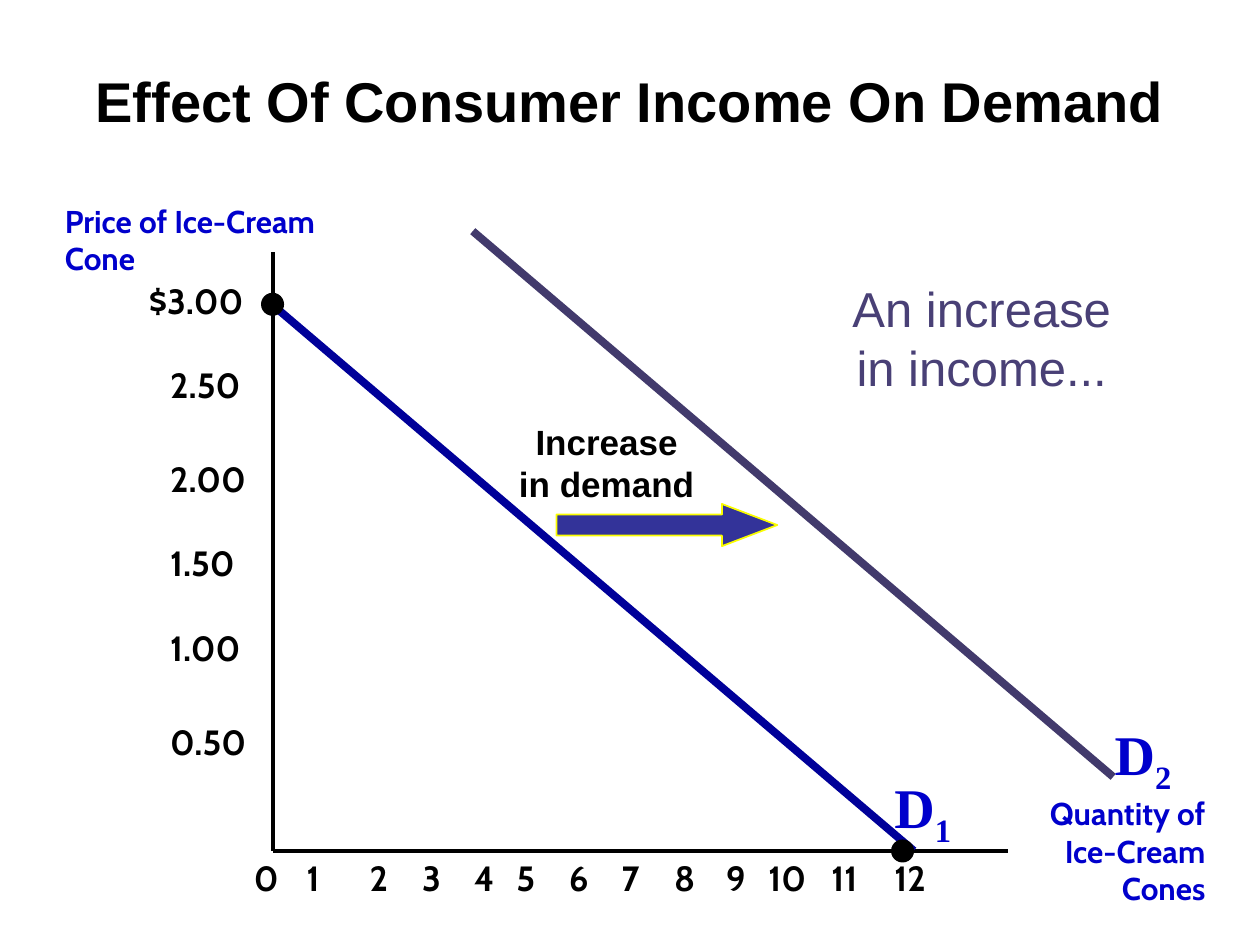
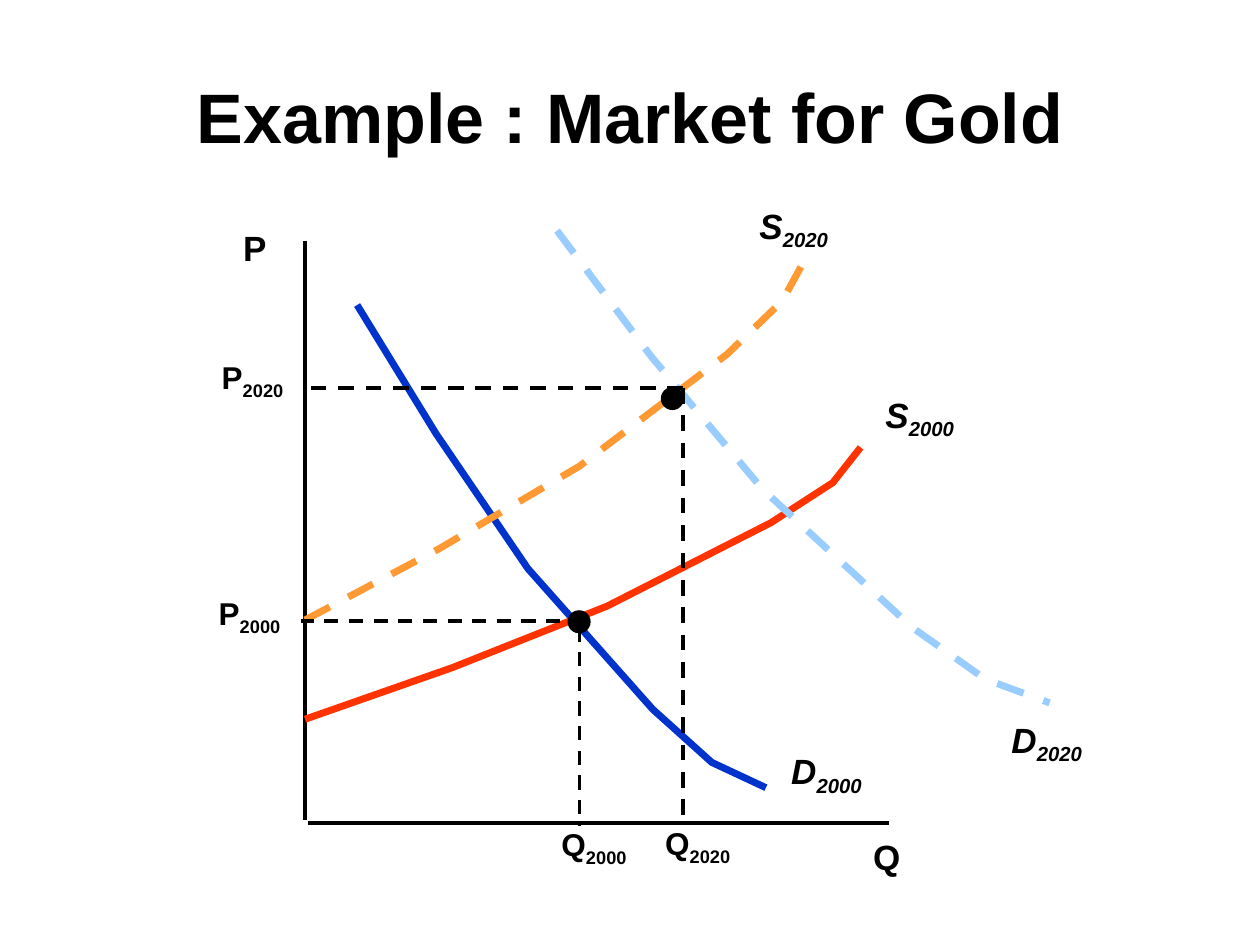
from dataclasses import dataclass

from lxml import etree
from pptx import Presentation
from pptx.dml.color import RGBColor
from pptx.enum import dml, shapes, text
from pptx.oxml import ns
from pptx.util import Cm, Pt

LEFT, CENTER, RIGHT = text.PP_ALIGN.LEFT, text.PP_ALIGN.CENTER, text.PP_ALIGN.RIGHT


@dataclass(frozen=True)
class Theme:
    black: str = "000000"
    white: str = "FFFFFF"
    label_blue: str = "0000CC"
    first_demand: str = "000099"
    shifted_demand: str = "423A6C"
    income: str = "494076"
    arrow: str = "333399"
    arrow_edge: str = "FAFD00"
    demand_2000: str = "0033CC"
    supply_2000: str = "FF3300"
    supply_2020: str = "FF9933"
    demand_2020: str = "99CCFF"
    curve_width: float = 4
    shift_width: float = 4.5
    dot_size: float = 0.43


theme = Theme()

# Font name, size, bold, italic, colour
STYLES = {
    name: dict(name=font, size=Pt(size), bold=bold, italic=italic, color=color)
    for name, font, size, bold, italic, color in [
        ("wide title", "Arial", 32, True, False, theme.black),
        ("title", "Arial", 40, True, False, theme.black),
        ("tick", "Cabin", 20, True, False, theme.black),
        ("axis", "Cabin", 18, True, False, theme.label_blue),
        ("demand", "Times New Roman", 32, True, False, theme.label_blue),
        ("note", "Arial", 20, True, False, theme.black),
        ("income", "Arial", 28, False, False, theme.income),
        ("curve", "Arial", 20, True, True, theme.black),
        ("level", "Arial", 18, True, False, theme.black),
    ]
}


def write(sp, content, style, align=LEFT, wrap=True):
    """Fill a shape with text; whatever follows "_" in a line is subscript."""
    tf = sp.text_frame
    tf.word_wrap = wrap
    for i, row in enumerate(content.split("\n")):
        p = tf.add_paragraph() if i else tf.paragraphs[0]
        p.alignment = align
        for j, part in enumerate(row.split("_")):
            r = p.add_run()
            r.text = part
            for key, value in STYLES[style].items():
                if key == "color":
                    r.font.color.rgb = RGBColor.from_string(value)
                else:
                    setattr(r.font, key, value)
            if j:
                r._r.get_or_add_rPr().set("baseline", "-25000")
    return tf


def draw_line(s, points, color, width, dash=False):
    """Draw a connector through two points, or an open outline through more."""
    pts = [(Cm(x), Cm(y)) for x, y in points]
    if len(pts) == 2:
        sp = s.shapes.add_connector(shapes.MSO_CONNECTOR.STRAIGHT, *pts[0], *pts[1])
        etree.SubElement(sp._element.spPr, ns.qn("a:effectLst"))
    else:
        builder = s.shapes.build_freeform(*pts[0])
        builder.add_line_segments(pts[1:], close=False)
        sp = builder.convert_to_shape()
        sp.fill.background()
        sp.shadow.inherit = False
    sp.line.color.rgb = RGBColor.from_string(color)
    sp.line.width = Pt(width)
    if dash:
        sp.line.dash_style = dml.MSO_LINE.DASH


prs = Presentation()
prs.slide_width, prs.slide_height = Cm(25.4), Cm(19.05)

slides = []
for title, style, top, height, anchor in [
    ("Effect Of Consumer Income On Demand", "wide title", 1.22, 2.86, text.MSO_ANCHOR.TOP),
    ("Example : Market for Gold", "title", 0.85, 2.46, text.MSO_ANCHOR.BOTTOM),
]:
    s = prs.slides.add_slide(prs.slide_layouts[5])
    sp = s.shapes.title
    sp.left, sp.top, sp.width, sp.height = Cm(1.27), Cm(top), Cm(22.86), Cm(height)
    tf = write(sp, title, style, CENTER)
    tf.auto_size = text.MSO_AUTO_SIZE.NONE
    tf.vertical_anchor = anchor
    slides.append(s)
income, gold = slides

# Axes, curves and guide lines
for s, points, color, width, dash in [
    (income, [(5.5, 5.08), (5.5, 17.15)], theme.black, 2.25, False),
    (income, [(5.5, 17.15), (20.32, 17.15)], theme.black, 2.25, False),
    (income, [(5.5, 6.15), (18.42, 17.15)], theme.first_demand, theme.shift_width, False),
    (income, [(9.53, 4.66), (22.44, 15.66)], theme.shifted_demand, theme.shift_width, False),
    (gold, [(6.15, 4.85), (6.15, 16.54)], theme.black, 2, False),
    (gold, [(6.2, 16.59), (17.93, 16.59)], theme.black, 2, False),
    (gold, [(7.2, 6.15), (8.79, 8.74), (10.64, 11.46), (13.16, 14.3),
            (14.35, 15.37), (15.44, 15.88)], theme.demand_2000, theme.curve_width, False),
    (gold, [(6.15, 14.5), (9.12, 13.46), (12.24, 12.22), (15.54, 10.54),
            (16.79, 9.73), (17.35, 9.02)], theme.supply_2000, theme.curve_width, False),
    (gold, [(6.15, 12.5), (8.84, 11.07), (11.68, 9.4), (14.66, 7.14),
            (15.77, 6.07), (16.31, 5.08)], theme.supply_2020, theme.curve_width, True),
    (gold, [(11.23, 4.65), (13.13, 7.19), (15.37, 9.86), (18.39, 12.65),
            (19.86, 13.69), (21.16, 14.17)], theme.demand_2020, theme.curve_width, True),
    (gold, [(11.79, 12.52), (6.07, 12.52)], theme.black, 2, True),
    (gold, [(11.68, 12.65), (11.68, 16.64)], theme.black, 2, True),
    (gold, [(13.77, 7.82), (6.15, 7.82)], theme.black, 2.25, True),
    (gold, [(13.77, 7.82), (13.77, 16.51)], theme.black, 2.25, True),
]:
    draw_line(s, points, color, width, dash)

# Curve ends, equilibrium points and the arrow of the shift
OVAL, ARROW = shapes.MSO_SHAPE.OVAL, shapes.MSO_SHAPE.RIGHT_ARROW
dot = (theme.dot_size, theme.dot_size, theme.black, theme.black)
for s, kind, x, y, w, h, fill, edge in [
    (income, OVAL, 17.98, 16.94, *dot),
    (income, OVAL, 5.28, 5.92, *dot),
    (income, ARROW, 11.22, 10.16, 4.45, 0.85, theme.arrow, theme.arrow_edge),
    (gold, OVAL, 11.46, 12.32, *dot),
    (gold, OVAL, 13.34, 7.82, *dot),
]:
    sp = s.shapes.add_shape(kind, Cm(x), Cm(y), Cm(w), Cm(h))
    sp.shadow.inherit = False
    sp.fill.solid()
    sp.fill.fore_color.rgb = RGBColor.from_string(fill)
    sp.line.color.rgb = RGBColor.from_string(edge)
    sp.line.width = Pt(1)
    if kind == ARROW:
        sp.adjustments[0], sp.adjustments[1] = 0.5, 1.312

# Labels: slide, text, left, top, width, height, style, alignment, wrap
labels = [(income, "$3.00", 2.75, 5.5, 2.54, 1.11, "tick", LEFT, True)]
for i, y in enumerate([7.2, 9.1, 10.8, 12.5, 14.4]):
    labels.append((income, f"{2.5 - i * 0.5:.2f}", 3.18, y, 2.12, 1.11, "tick", LEFT, True))
quantity_lefts = [4.87, 5.93, 7.2, 8.26, 9.31, 10.16, 11.22, 12.28, 13.34, 14.39,
                  15.24, 16.51, 17.78]
for quantity, x in enumerate(quantity_lefts):
    width = 1.27 if quantity < 9 else 1.48
    labels.append((income, str(quantity), x, 17.15, width, 1.11, "tick", LEFT, True))
labels += [
    (income, "Price of Ice-Cream Cone", 1.06, 3.94, 6.14, 1.78, "axis", LEFT, True),
    (income, "Quantity of Ice-Cream Cones", 20.32, 15.88, 4.23, 2.54, "axis", RIGHT, True),
    (income, "Increase\nin demand", 10.2, 8.47, 4.06, 1.71, "note", CENTER, True),
    (income, "An increase in income...", 16.51, 5.5, 6.56, 2.64, "income", CENTER, True),
    (income, "D_1", 17.78, 15.45, 2.12, 1.8, "demand", LEFT, True),
    (income, "D_2", 22.22, 14.39, 2.12, 1.8, "demand", LEFT, True),
    (gold, "P", 4.65, 4.45, 0.97, 1.1, "note", LEFT, False),
    (gold, "Q", 17.35, 16.71, 1.05, 1.1, "note", LEFT, False),
]
for name, x, y in [("D_2000", 15.7, 14.99), ("S_2000", 17.6, 7.8),
                   ("S_2020", 15.06, 3.99), ("D_2020", 20.14, 14.35)]:
    labels.append((gold, name, x, y, 1.93, 1.22, "curve", LEFT, False))
for name, x, y in [("P_2020", 4.22, 7.09), ("P_2000", 4.16, 11.86),
                   ("Q_2000", 11.07, 16.51), ("Q_2020", 13.16, 16.49)]:
    labels.append((gold, name, x, y, 1.83, 1.11, "level", LEFT, False))

for s, content, x, y, w, h, style, align, wrap in labels:
    sp = s.shapes.add_textbox(Cm(x), Cm(y), Cm(w), Cm(h))
    tf = write(sp, content, style, align, wrap)
    if style == "income":
        sp.fill.solid()
        sp.fill.fore_color.rgb = RGBColor.from_string(theme.white)
    if "\n" in content:
        for side in ("left", "top", "right", "bottom"):
            setattr(tf, f"margin_{side}", 0)

prs.save("out.pptx")
